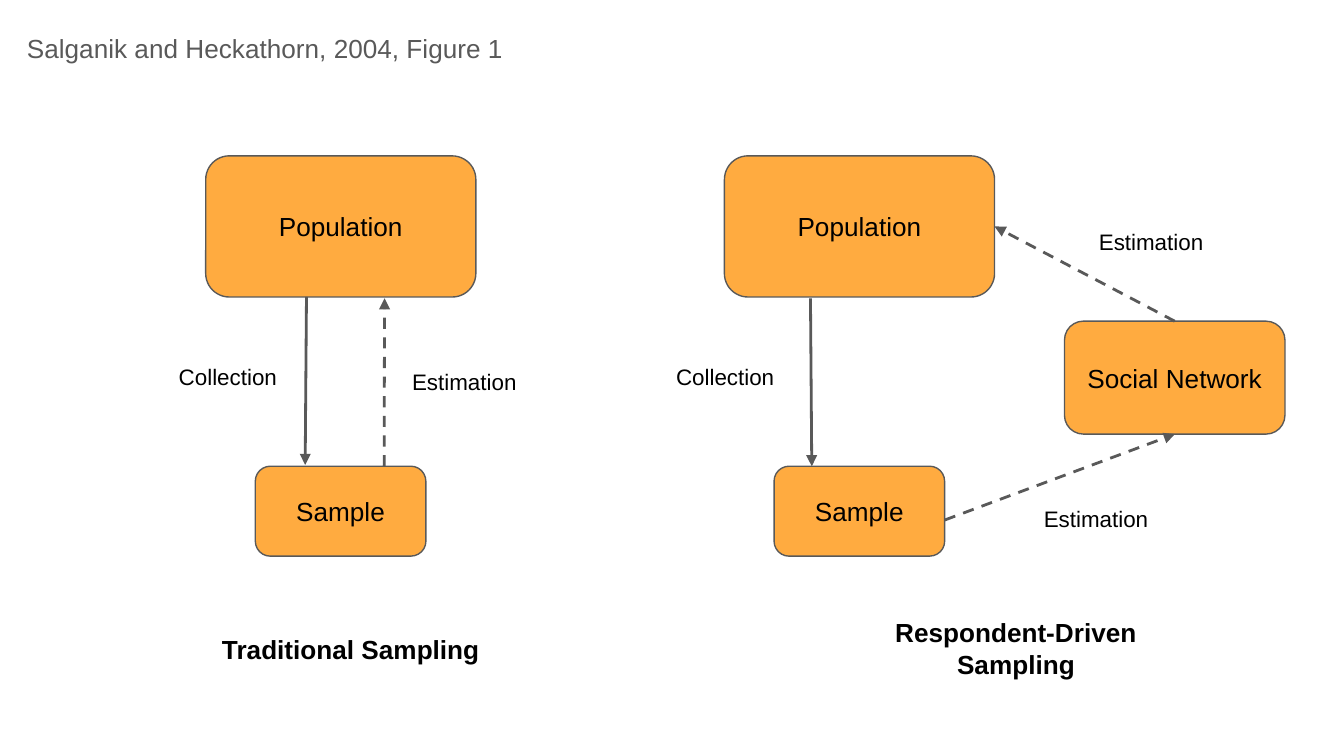
from lxml.etree import SubElement
from pptx import Presentation
from pptx.dml.color import RGBColor
from pptx.enum.dml import MSO_LINE
from pptx.enum.shapes import MSO_CONNECTOR, MSO_SHAPE
from pptx.enum.text import MSO_ANCHOR, MSO_AUTO_SIZE, PP_ALIGN
from pptx.oxml.ns import qn
from pptx.util import Pt

COLORS = {"node": "FFAB40", "line": "595959", "text": "000000"}
POP = (0, 0, 144.7, 75.6)
SAMPLE = (26.6, 166.3, 91.4, 48.2)
SOCIAL = (182.2, 88.6, 118.1, 60.5)


def color(name):
    """Return the named colour."""
    return RGBColor.from_string(COLORS[name])


def shift(origin, part):
    """Turn a part's panel offsets into slide lengths."""
    x, y, *size = part
    return [Pt(v) for v in (origin[0] + x, origin[1] + y, *size)]


def write(shape, text, size, tint="text", bold=False,
          align=PP_ALIGN.CENTER, anchor=MSO_ANCHOR.TOP):
    """Fill a shape with one formatted paragraph."""
    frame = shape.text_frame
    frame.text = text
    frame.word_wrap = True
    frame.auto_size = MSO_AUTO_SIZE.NONE
    frame.vertical_anchor = anchor
    frame.margin_left = frame.margin_right = Pt(7.2)
    frame.margin_top = frame.margin_bottom = Pt(7.2)
    para = frame.paragraphs[0]
    para.alignment = align
    font = para.runs[0].font
    font.name, font.size, font.bold = "Arial", Pt(size), bold
    font.color.rgb = color(tint)


def node(slide, origin, box, text):
    """Draw a rounded node."""
    shape = slide.shapes.add_shape(MSO_SHAPE.ROUNDED_RECTANGLE, *shift(origin, box))
    shape.shadow.inherit = False
    shape.fill.solid()
    shape.fill.fore_color.rgb = color("node")
    shape.line.color.rgb = color("line")
    shape.line.width = Pt(0.75)
    write(shape, text, 14, anchor=MSO_ANCHOR.MIDDLE)
    return shape


def label(slide, origin, box, text, size=12, bold=False):
    """Place a centred label."""
    write(slide.shapes.add_textbox(*shift(origin, box)), text, size, bold=bold)


def arrow(slide, origin, start, end, dashed=False):
    """Draw an arrow between two panel points."""
    line = slide.shapes.add_connector(
        MSO_CONNECTOR.STRAIGHT, *shift(origin, start), *shift(origin, end))
    line.line.color.rgb = color("line")
    line.line.width = Pt(1.5)
    if dashed:
        line.line.dash_style = MSO_LINE.DASH
    SubElement(line.line._get_or_add_ln(), qn("a:tailEnd"), type="triangle")
    SubElement(line._element.spPr, qn("a:effectLst"))
    return line


def heading(slide, box):
    """Set the source line in the title placeholder."""
    title = slide.shapes.title
    title.left, title.top, title.width, title.height = shift((0, 0), box)
    write(title, "Salganik and Heckathorn, 2004, Figure 1", 14, "line",
          align=PP_ALIGN.LEFT)


def classic(slide, origin):
    """Draw the traditional sampling panel."""
    node(slide, origin, POP, "Population")
    node(slide, origin, SAMPLE, "Sample")
    arrow(slide, origin, (54, 75.6), (53.3, 165.6))
    arrow(slide, origin, (95.6, 166.3), (95.8, 76.3), True)
    label(slide, origin, (-22.3, 103.7, 68.4, 28.8), "Collection")
    label(slide, origin, (100.1, 106.6, 77, 28.8), "Estimation")
    label(slide, origin, (0, 248.4, 155.5, 31.7), "Traditional Sampling", 14, True)


def driven(slide, origin):
    """Draw the respondent-driven sampling panel."""
    pop = node(slide, origin, POP, "Population")
    social = node(slide, origin, SOCIAL, "Social Network")
    node(slide, origin, SAMPLE, "Sample")
    arrow(slide, origin, (46.1, 76.3), (46.8, 166.3))
    rise = arrow(slide, origin, (118, 195.1), (241.2, 149.1), True)
    rise.end_connect(social, 2)
    back = arrow(slide, origin, (241.2, 88.6), (144.7, 37.8), True)
    back.begin_connect(social, 0)
    back.end_connect(pop, 3)
    label(slide, origin, (-33.8, 103.7, 68.4, 28.8), "Collection")
    for x, y in ((190.1, 31.7), (160.6, 180)):
        label(slide, origin, (x, y, 77, 28.8), "Estimation")
    label(slide, origin, (69.8, 239.8, 172.8, 48.2),
          "Respondent-Driven Sampling", 14, True)


def main():
    """Build and save the slide."""
    deck = Presentation()
    deck.slide_width, deck.slide_height = Pt(720), Pt(405)
    slide = deck.slides.add_slide(deck.slide_layouts[5])
    heading(slide, (7.2, 10.1, 270, 31.7))
    classic(slide, (110.2, 83.5))
    driven(slide, (388.1, 83.5))
    deck.save("out.pptx")


if __name__ == "__main__":
    main()
